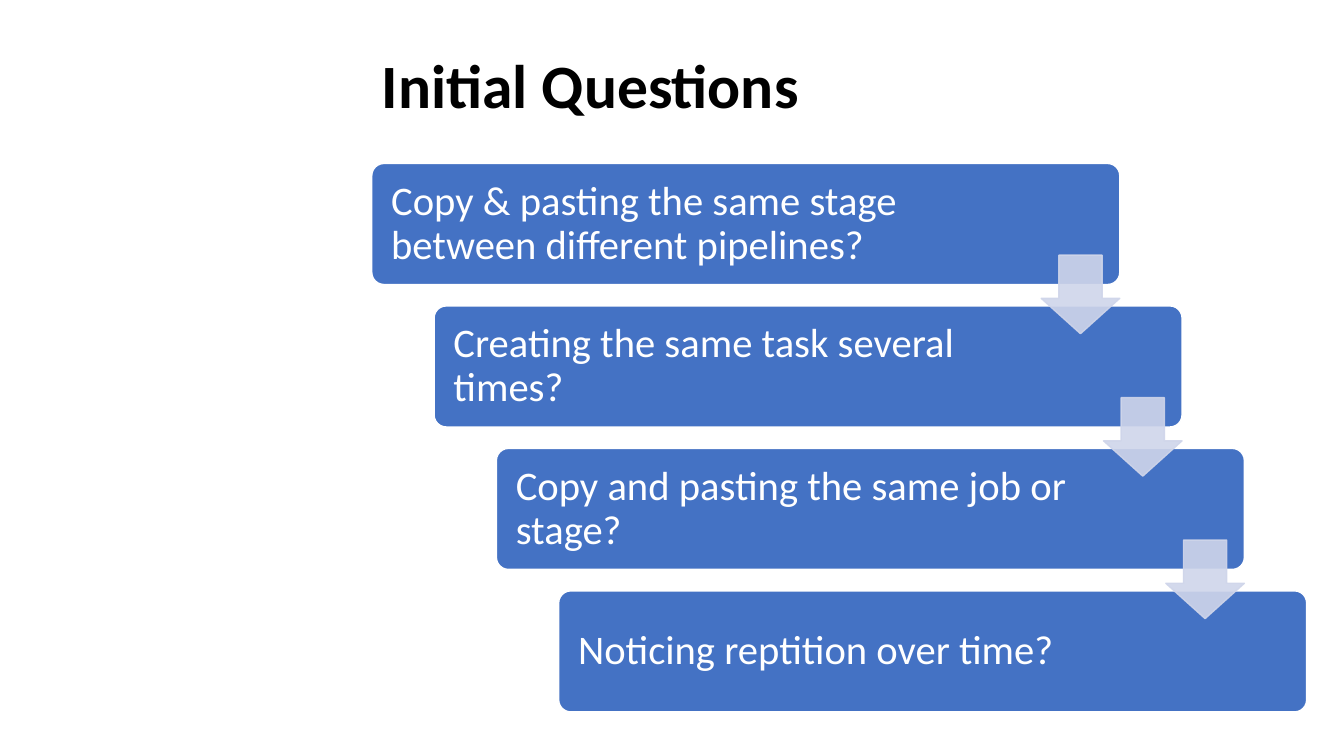
from pptx import Presentation
from pptx.dml.color import RGBColor
from pptx.enum.shapes import MSO_SHAPE as SHAPE
from pptx.enum.text import MSO_ANCHOR as ANCHOR, PP_ALIGN as ALIGN
from pptx.oxml.ns import qn
from pptx.util import Cm, Pt
from lxml.etree import SubElement

COLORS = {"title": "000000", "box": "4472C4", "white": "FFFFFF", "arrow": "CFD5EA"}
QUESTIONS = [
    "Copy & pasting the same stage between different pipelines?",
    "Creating the same task several times?",
    "Copy and pasting the same job or stage?",
    "Noticing reptition over time?",
]
LEFT, TOP = 9.37, 4.12
STEP_X, STEP_Y = 1.57, 3.59
BOX_W, BOX_H = 18.85, 3.05
ARROW = 1.98


def add_shape(kind, x, y, w, h, fill, line):
    sp = s.shapes.add_shape(kind, Cm(x), Cm(y), Cm(w), Cm(h))
    sp.shadow.inherit = False
    sp.fill.solid()
    sp.fill.fore_color.rgb = RGBColor.from_string(COLORS[fill])
    sp.line.color.rgb = RGBColor.from_string(COLORS[line])
    sp.line.width = Pt(1)
    return sp


def write(tf, text, size, color, bold):
    tf.text = text
    tf.word_wrap = True
    tf.vertical_anchor = ANCHOR.MIDDLE
    p = tf.paragraphs[0]
    p.alignment = ALIGN.LEFT
    p.line_spacing = 0.9
    p.font.name = "Calibri"
    p.font.size = Pt(size)
    p.font.bold = bold
    p.font.color.rgb = RGBColor.from_string(COLORS[color])


prs = Presentation()
prs.slide_width, prs.slide_height = Cm(33.87), Cm(19.05)
s = prs.slides.add_slide(prs.slide_layouts[5])

title = s.shapes.title
title.left, title.top, title.width, title.height = Cm(LEFT), Cm(1.12), Cm(23.55), Cm(2.24)
write(title.text_frame, "Initial Questions", 44, "title", True)

for i, question in enumerate(QUESTIONS):
    box = add_shape(SHAPE.ROUNDED_RECTANGLE, LEFT + i * STEP_X, TOP + i * STEP_Y,
                    BOX_W, BOX_H, "box", "white")
    box.adjustments[0] = 0.1
    tf = box.text_frame
    tf.margin_left, tf.margin_right = Cm(0.4), Cm(3.9)
    write(tf, question, 29, "white", False)

for i in range(len(QUESTIONS) - 1):
    arrow = add_shape(SHAPE.DOWN_ARROW, LEFT + BOX_W - ARROW + i * STEP_X,
                      TOP + 2.31 + i * STEP_Y, ARROW, ARROW, "arrow", "arrow")
    arrow.adjustments[0], arrow.adjustments[1] = 0.55, 0.45
    for color in arrow._element.spPr.iter(qn("a:srgbClr")):
        SubElement(color, qn("a:alpha"), val="90000")

prs.save("out.pptx")
